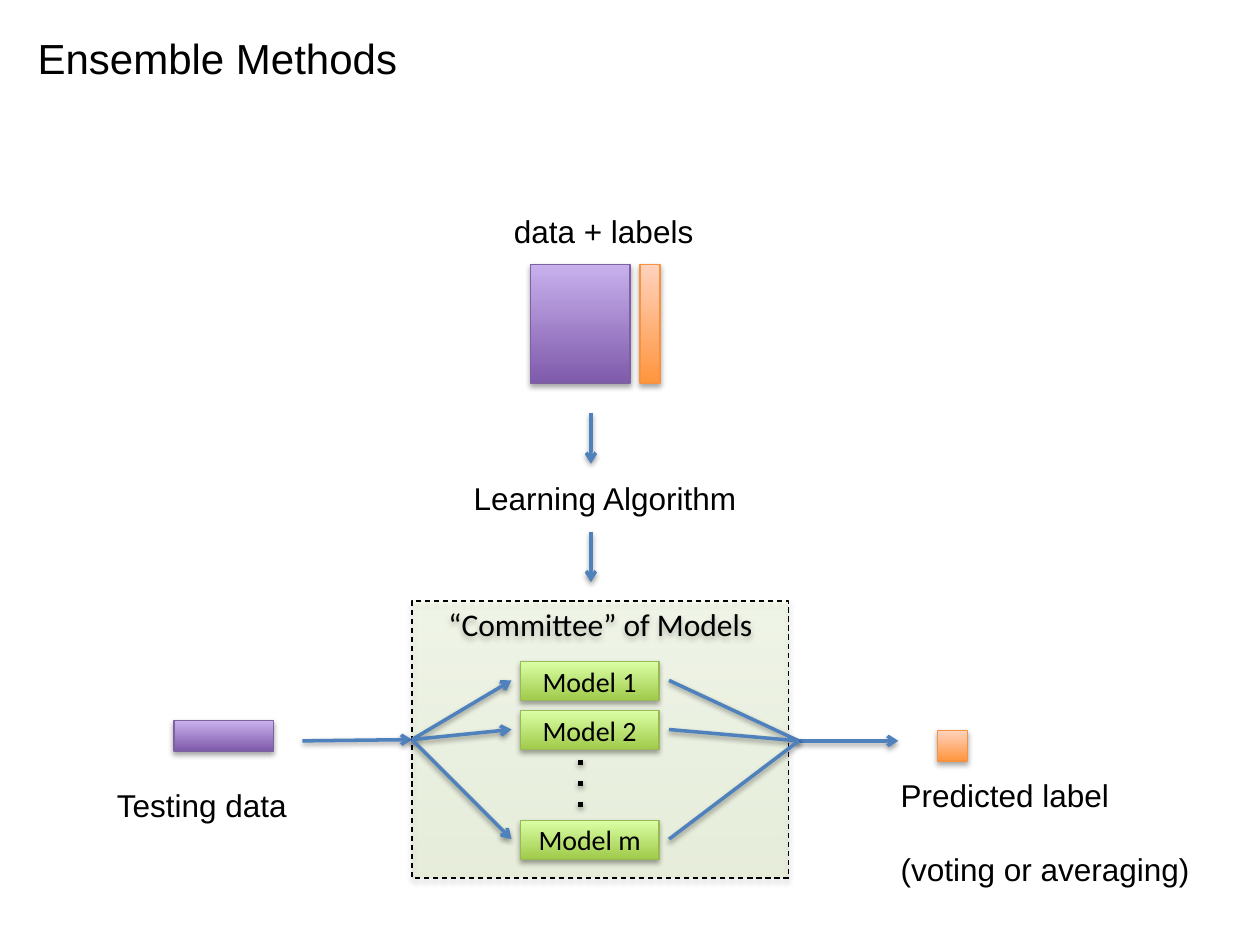
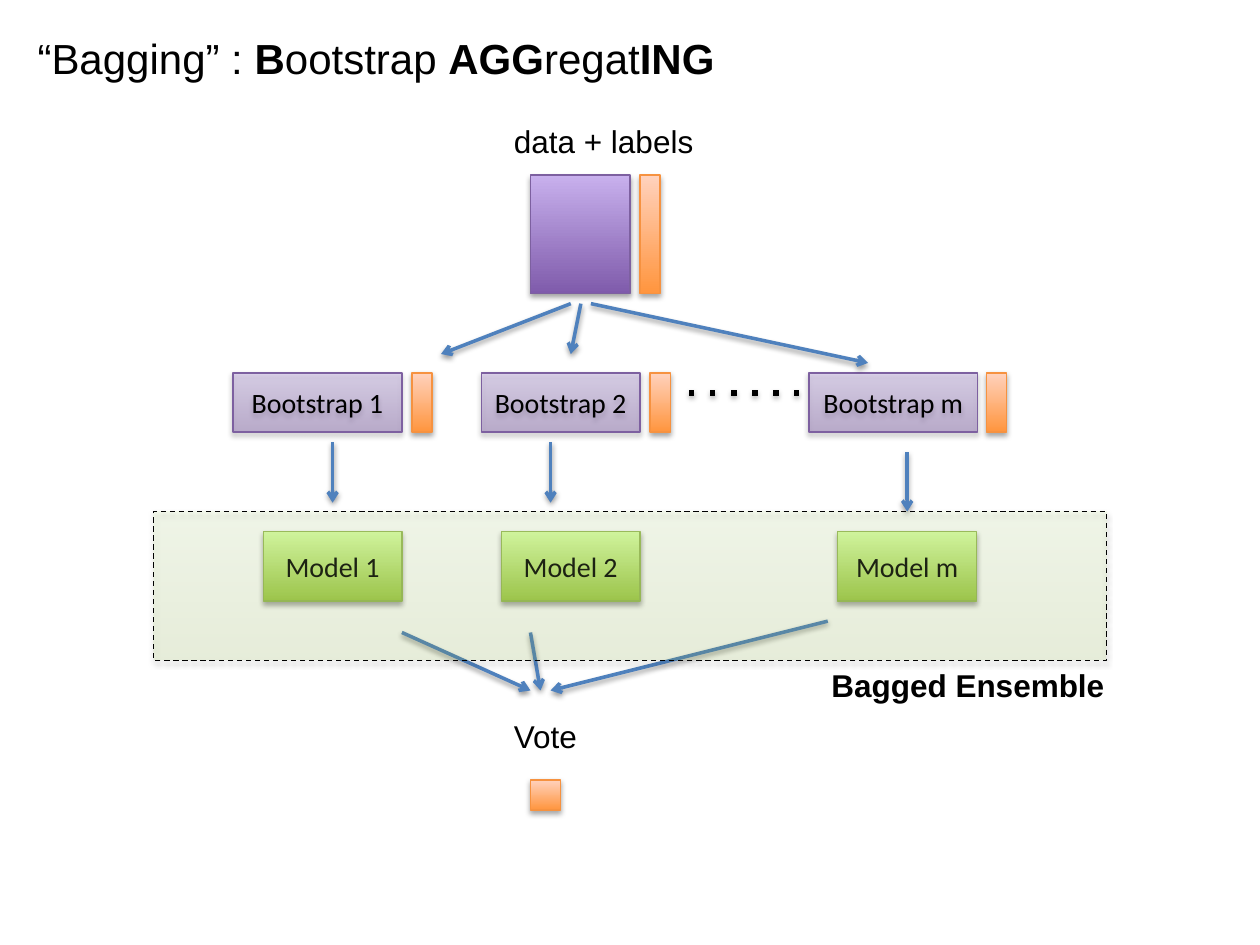
import lxml.etree
import pptx
import pptx.dml.color
import pptx.enum.dml
import pptx.enum.shapes
import pptx.enum.text
import pptx.oxml.ns
import pptx.util

Inches = pptx.util.Inches
Pt = pptx.util.Pt
qn = pptx.oxml.ns.qn

BLACK = "000000"
ARROW_BLUE = "4F81BD"
DATA = {"bottom": "7F5BAB", "top": "C8B0ED", "outline": "7D60A0"}
LABEL = {"bottom": "FF953E", "top": "FFD2BD", "outline": "F69240"}
MODEL = {"bottom": "A0CA4A", "top": "DAFFA5", "outline": "98B955"}
SAMPLE = {**DATA, "opacity": 38}
ENSEMBLE = {**MODEL, "outline": BLACK, "opacity": 14, "dashed": True}


def color(value):
    """Return the RGB colour of a hex string."""
    return pptx.dml.color.RGBColor.from_string(value)


def add_xml(parent, tag, **attributes):
    """Append a child element with the given attributes."""
    return lxml.etree.SubElement(parent, qn(tag), {k: str(v) for k, v in attributes.items()})


class Deck:
    """Holds the style and the current slide of the presentation."""

    def __init__(self):
        """Start an empty 10 by 7.5 inch presentation."""
        self.presentation = pptx.Presentation()
        self.presentation.slide_width = Inches(10)
        self.presentation.slide_height = Inches(7.5)
        self.slide = None

    def add_slide(self, title_runs, width):
        """Add a blank slide with a title made of (text, bold) runs."""
        self.slide = self.presentation.slides.add_slide(self.presentation.slide_layouts[6])
        self.text(0.2, 0.21, width, 0.5, [title_runs], size=24)

    def add_runs(self, paragraph, runs, size, font_name):
        """Fill a paragraph with (text, bold) runs."""
        for text, bold in runs:
            run = paragraph.add_run()
            run.text = text
            run.font.color.rgb = color(BLACK)
            values = {"size": Pt(size), "name": font_name, "bold": bold}
            for name, value in values.items():
                setattr(run.font, name, value)

    def text(self, left, top, width, height, paragraphs, size=18, gap=0):
        """Add an unwrapped text box with a gap in points between paragraphs."""
        shape = self.slide.shapes.add_textbox(
            Inches(left), Inches(top), Inches(width), Inches(height))
        frame = shape.text_frame
        values = {"word_wrap": False,
                  "auto_size": pptx.enum.text.MSO_AUTO_SIZE.SHAPE_TO_FIT_TEXT}
        for name, value in values.items():
            setattr(frame, name, value)
        for index, runs in enumerate(paragraphs):
            paragraph = frame.add_paragraph() if index else frame.paragraphs[0]
            if index:
                paragraph.space_before = Pt(gap)
            self.add_runs(paragraph, runs, size, "Arial")

    def shadow(self, element, opacity, distance):
        """Give a shape or connector a soft shadow straight below it."""
        properties = element.spPr
        effects = properties.find(qn("a:effectLst"))
        if effects is None:
            effects = add_xml(properties, "a:effectLst")
        outer = add_xml(effects, "a:outerShdw", blurRad=Pt(3.1), dist=Pt(distance),
                        dir=5400000, rotWithShape=0)
        shade = add_xml(outer, "a:srgbClr", val=BLACK)
        add_xml(shade, "a:alpha", val=opacity * 1000)

    def box(self, left, top, width, height, look, caption="", size=16, at_top=False):
        """Add a gradient rectangle with an optional centred caption."""
        shape = self.slide.shapes.add_shape(
            pptx.enum.shapes.MSO_SHAPE.RECTANGLE,
            Inches(left), Inches(top), Inches(width), Inches(height))
        shape.fill.gradient()
        shape.fill.gradient_angle = 90
        for stop, edge in zip(shape.fill.gradient_stops, ("bottom", "top")):
            stop.color.rgb = color(look[edge])
        if "opacity" in look:
            for stop_color in shape.element.spPr.iter(qn("a:srgbClr")):
                add_xml(stop_color, "a:alpha", val=look["opacity"] * 1000)
        shape.line.color.rgb = color(look["outline"])
        shape.line.width = Pt(0.75)
        if look.get("dashed"):
            shape.line.dash_style = pptx.enum.dml.MSO_LINE.DASH
        shape.shadow.inherit = False
        self.shadow(shape.element, 35, 1.8)
        if caption:
            anchor = pptx.enum.text.MSO_ANCHOR
            frame = shape.text_frame
            values = {"word_wrap": True, "margin_top": Inches(0.03 if at_top else 0.05),
                      "vertical_anchor": anchor.TOP if at_top else anchor.MIDDLE}
            for name, value in values.items():
                setattr(frame, name, value)
            frame.paragraphs[0].alignment = pptx.enum.text.PP_ALIGN.CENTER
            self.add_runs(frame.paragraphs[0], [(caption, False)], size, "Calibri")
        return shape

    def line(self, start, end, arrow=True, dotted=False):
        """Add a blue arrow or line, or a thick black dotted line."""
        connector = self.slide.shapes.add_connector(
            pptx.enum.shapes.MSO_CONNECTOR.STRAIGHT, *map(Inches, start + end))
        connector.line.color.rgb = color(BLACK if dotted else ARROW_BLUE)
        connector.line.width = Pt(3 if dotted else 2)
        outline = connector.element.spPr.find(qn("a:ln"))
        if dotted:
            add_xml(outline, "a:prstDash", val="dot")
        elif arrow:
            add_xml(outline, "a:tailEnd", type="arrow")
        self.shadow(connector.element, 38, 1.6)
        return connector

    def training_data(self, top):
        """Add the captioned data block with its label column."""
        self.text(3.98, top - 0.47, 1.65, 0.4, [[("data + labels", False)]])
        self.box(4.21, top, 0.79, 0.94, DATA)
        self.box(5.08, top, 0.16, 0.94, LABEL)

    def label_square(self, left, top):
        """Add the small square of a predicted label."""
        self.box(left, top, 0.24, 0.24, LABEL)


def ensemble_methods(deck):
    """Build the slide on a committee of models."""
    deck.add_slide([("Ensemble Methods", False)], 3.08)
    deck.training_data(2.1)
    deck.text(3.66, 3.75, 2.31, 0.4, [[("Learning Algorithm", False)]])
    for top in (3.28, 4.22):
        deck.line((4.69, top), (4.69, top + 0.4))
    committee = deck.box(3.27, 4.77, 2.99, 2.2, ENSEMBLE,
                         "“Committee” of Models", size=18, at_top=True)

    deck.box(1.38, 5.72, 0.79, 0.24, DATA)
    deck.text(0.83, 6.19, 1.56, 0.4, [[("Testing data", False)]])
    entry, vote = (3.27, 5.88), (6.34, 5.88)
    deck.line((2.4, 5.88), entry).end_connect(committee, 1)
    deck.line(vote, (7.13, 5.88))
    deck.text(7.05, 6.11, 2.52, 1.01,
              [[("Predicted label", False)], [("(voting or averaging)", False)]], gap=20.7)

    for name, top in (("1", 5.25), ("2", 5.64), ("m", 6.51)):
        middle = top + 0.15
        deck.box(4.13, top, 1.1, 0.31, MODEL, f"Model {name}")
        deck.line(entry, (4.06, middle)).begin_connect(committee, 1)
        deck.line(vote, (5.31, middle), arrow=False)
    deck.line((4.61, 6.03), (4.61, 6.43), dotted=True)
    deck.label_square(7.44, 5.8)


def bagging(deck):
    """Build the slide on bootstrap aggregating."""
    deck.add_slide([("“Bagging” : ", False), ("B", True), ("ootstrap ", False),
                    ("AGG", True), ("regat", False), ("ING", True)], 5.63)
    deck.training_data(1.39)
    deck.text(3.98, 5.64, 0.71, 0.4, [[("Vote", False)]])
    deck.label_square(4.21, 6.19)

    samples = (("1", 1.85, 1.34, 3.27), ("2", 3.82, 1.26, 5.16), ("m", 6.42, 1.34, 7.83))
    for name, left, width, label_left in samples:
        deck.box(left, 2.96, width, 0.47, SAMPLE, f"Bootstrap {name}")
        deck.box(label_left, 2.96, 0.16, 0.47, LABEL)
    for name, left in (("1", 2.09), ("2", 3.98), ("m", 6.65)):
        deck.box(left, 4.22, 1.1, 0.55, MODEL, f"Model {name}")
    deck.line((5.47, 3.12), (6.34, 3.12), dotted=True)

    arrows = (
        ((4.53, 2.41), (3.5, 2.81)), ((4.61, 2.41), (4.53, 2.81)), ((4.69, 2.41), (6.89, 2.88)),
        ((2.64, 3.51), (2.64, 3.99)), ((4.37, 3.51), (4.37, 3.99)), ((7.2, 3.59), (7.2, 4.06)),
        ((3.19, 5.02), (4.21, 5.48)), ((4.21, 5.02), (4.29, 5.48)), ((6.57, 4.93), (4.37, 5.48)),
    )
    for start, end in arrows:
        deck.line(start, end)
    deck.box(1.22, 4.06, 7.56, 1.18, ENSEMBLE)
    deck.text(6.5, 5.24, 2.39, 0.4, [[("Bagged Ensemble", True)]])


def main():
    """Build both slides and save the presentation."""
    deck = Deck()
    ensemble_methods(deck)
    bagging(deck)
    deck.presentation.save("out.pptx")


if __name__ == "__main__":
    main()
